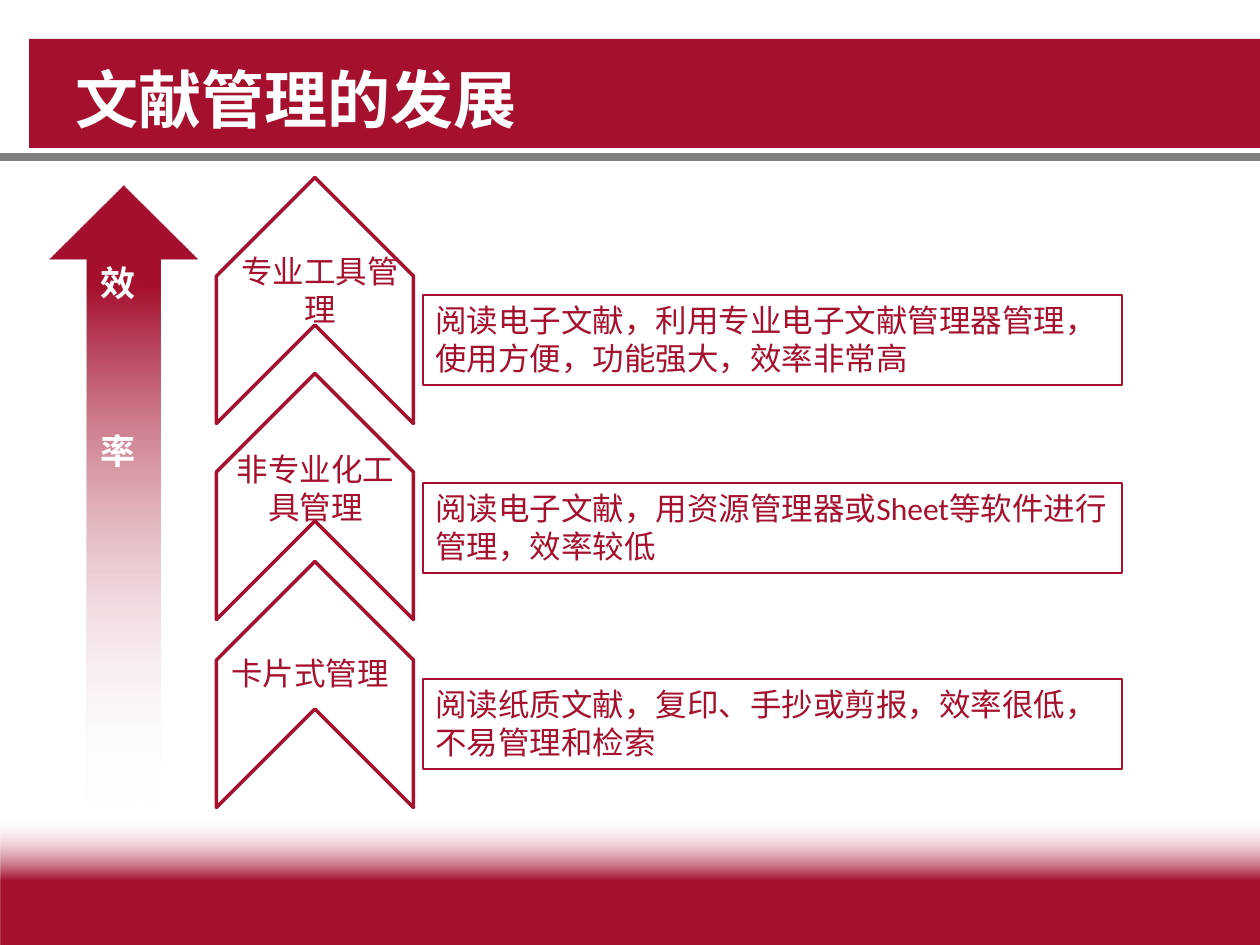
from pptx import Presentation
from pptx import util as u
from pptx.dml.color import RGBColor as Rgb
from pptx.enum import shapes, text
from pptx.oxml.ns import qn
from lxml import etree

theme = dict(
    red=Rgb(0xA5, 0x10, 0x2E), white=Rgb(255, 255, 255), gray=Rgb(128, 128, 128),
    font="Calibri", title=36, body=18, arrow=20, gap=72,
)
kind = shapes.MSO_SHAPE


def px(*nums):
    return [u.Emu(round(n * 914400 / 126)) for n in nums]


def write(shape, words, size=theme["body"], color=theme["red"], bold=False,
          align=text.PP_ALIGN.LEFT, anchor=text.MSO_ANCHOR.TOP, wrap=True,
          fit=text.MSO_AUTO_SIZE.SHAPE_TO_FIT_TEXT, gap=0):
    frame = shape.text_frame
    frame.text = words
    frame.word_wrap = wrap
    frame.auto_size = fit
    frame.vertical_anchor = anchor
    for i, para in enumerate(frame.paragraphs):
        para.alignment = align
        if i:
            para.space_before = u.Pt(gap)
        for run in para.runs:
            font = run.font
            font.name, font.size, font.bold = theme["font"], u.Pt(size), bold
            font.color.rgb = color


deck = Presentation()
deck.slide_width, deck.slide_height = px(1260, 945)
slide = deck.slides.add_slide(deck.slide_layouts[5])
items = slide.shapes
title = items.title

foot = items.add_shape(kind.RECTANGLE, *px(0, 817, 1260, 128))
foot.rotation = 180
band = items.add_shape(kind.RECTANGLE, *px(29, 39, 1231, 109))
band.fill.solid()
band.fill.fore_color.rgb = theme["red"]

rule = items.add_connector(shapes.MSO_CONNECTOR.STRAIGHT, *px(0, 157, 1260, 157))
rule.line.color.rgb = theme["gray"]
rule.line.width = u.Pt(4.5)
etree.SubElement(rule._element.spPr, qn("a:effectLst"))

title.left, title.top, title.width, title.height = px(63, 38, 1134, 120)
write(title, "文献管理的发展", size=theme["title"], color=theme["white"], bold=True,
      anchor=text.MSO_ANCHOR.MIDDLE, fit=text.MSO_AUTO_SIZE.NONE)
items._spTree.append(title._element)

arrow = items.add_shape(kind.UP_ARROW, *px(49, 186, 148, 620))
for shape, start in ((foot, 0.5), (arrow, 0.16)):
    shape.fill.gradient()
    shape.fill.gradient_angle = 270
    first, last = shape.fill.gradient_stops
    first.position, last.position = start, 1
    first.color.rgb, last.color.rgb = theme["red"], theme["white"]
    tint = list(shape._element.spPr.iter(qn("a:srgbClr")))[-1]
    etree.SubElement(tint, qn("a:alpha")).set("val", "0")
for shape in (foot, band, arrow):
    shape.line.fill.background()
    shape.shadow.inherit = False

side = items.add_textbox(*px(88, 255, 60, 224))
write(side, "效\n率", size=theme["arrow"], color=theme["white"], bold=True,
      wrap=False, gap=theme["gap"])

mid, left = text.PP_ALIGN.CENTER, text.PP_ALIGN.LEFT
steps = [
    (202, 295, "专业工具管理", (227, 246, 186, 90), mid,
     "阅读电子文献，利用专业电子文献管理器管理，使用方便，功能强大，效率非常高"),
    (398, 483, "非专业化工具管理", (217, 444, 197, 90), mid,
     "阅读电子文献，用资源管理器或Sheet等软件进行管理，效率较低"),
    (586, 679, "卡片式管理", (219, 648, 184, 50), left,
     "阅读纸质文献，复印、手抄或剪报，效率很低，不易管理和检索"),
]
for top, low, name, spot, align, note in steps:
    mark = items.add_shape(kind.CHEVRON, *px(192, top, 246, 197))
    mark.rotation = 270
    box = items.add_shape(kind.RECTANGLE, *px(423, low, 699, 90))
    for shape, width in ((mark, 2), (box, 0.75)):
        shape.fill.background()
        shape.line.color.rgb = theme["red"]
        shape.line.width = u.Pt(width)
        shape.shadow.inherit = False
    write(box, note)
    write(items.add_textbox(*px(*spot)), name, align=align, wrap=align == mid)

deck.save("out.pptx")
